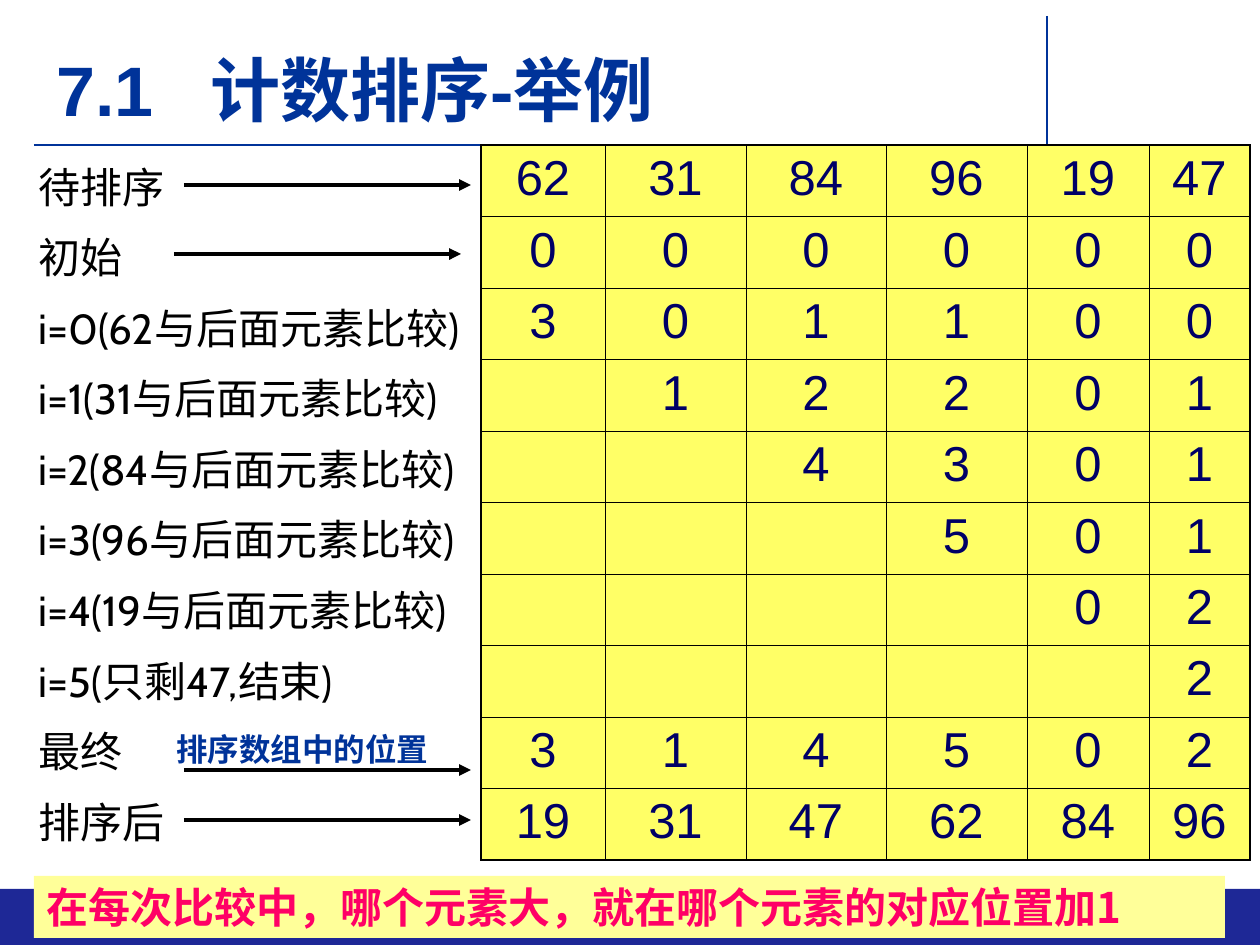
import pptx
import pptx.util
import pptx.dml.color
import pptx.enum.shapes
import pptx.enum.text
import pptx.oxml.ns
import lxml.etree

SCALE = 914400 / 126
HUE = {
    "blue": "003399",
    "navy": "1E2896",
    "ink": "000066",
    "black": "000000",
    "cell": "FFFF66",
    "pale": "FFFF99",
    "pink": "FF0066",
}
COLS = [124, 141, 140, 141, 122, 101]
ROWS = [
    [62, 31, 84, 96, 19, 47],
    [0, 0, 0, 0, 0, 0],
    [3, 0, 1, 1, 0, 0],
    [1, 2, 2, 0, 1],
    [4, 3, 0, 1],
    [5, 0, 1],
    [0, 2],
    [2],
    [3, 1, 4, 5, 0, 2],
    [19, 31, 47, 62, 84, 96],
]
STEPS = [
    "待排序",
    "初始",
    *(f"i={i}({n}与后面元素比较)" for i, n in enumerate(ROWS[0][:-1])),
    "i=5(只剩47,结束)",
    "最终",
    "排序后",
]


def px(n):
    return pptx.util.Emu(round(n * SCALE))


def tint(name):
    return pptx.dml.color.RGBColor.from_string(HUE[name])


def node(up, tag, **attrs):
    return lxml.etree.SubElement(up, pptx.oxml.ns.qn(tag), **attrs)


def write(frame, text, size=24, face="Arial", hue="black", bold=False,
          align="LEFT", space=None, tab=None, top=None):
    frame.word_wrap = True
    if top is not None:
        frame.margin_top = px(top)
    for i, line in enumerate(text.split("\n")):
        para = frame.add_paragraph() if i else frame.paragraphs[0]
        para.alignment = getattr(pptx.enum.text.PP_ALIGN, align)
        if space:
            para.line_spacing = space
        if tab:
            stops = node(para._p.get_or_add_pPr(), "a:tabLst")
            node(stops, "a:tab", pos=str(px(tab)), algn="l")
        run = para.add_run()
        run.text = line
        run.font.size = pptx.util.Pt(size)
        run.font.name = face
        run.font.bold = bold
        run.font.color.rgb = tint(hue)
        node(run._r.get_or_add_rPr(), "a:ea", typeface=face)


def label(slide, box, text, **style):
    area = slide.shapes.add_textbox(*map(px, box))
    write(area.text_frame, text, **style)


def block(slide, box, hue):
    kind = pptx.enum.shapes.MSO_SHAPE.RECTANGLE
    shape = slide.shapes.add_shape(kind, *map(px, box))
    shape.shadow.inherit = False
    shape.fill.solid()
    shape.fill.fore_color.rgb = tint(hue)
    shape.line.fill.background()
    return shape


def rule(slide, x, y, dx, dy, hue, width, head=False):
    kind = pptx.enum.shapes.MSO_CONNECTOR.STRAIGHT
    line = slide.shapes.add_connector(kind, px(x), px(y), px(x + dx), px(y + dy))
    line.line.color.rgb = tint(hue)
    line.line.width = pptx.util.Pt(width)
    if head:
        node(line.line._get_or_add_ln(), "a:tailEnd", type="triangle")
    node(line._element.spPr, "a:effectLst")


def frame(slide, x, y, w, h):
    block(slide, (x, y + 889, w, h - 889), "navy")
    rule(slide, x + 34, y + 145, 1211, 0, "blue", 1.5)
    rule(slide, x + 1047, y + 16, 0, 149, "blue", 1.5)


def title(slide, x, y, w, h):
    label(slide, (x, y, w, h), "7.1\t计数排序-举例", size=40, hue="blue",
          bold=True, tab=154, top=13)


def border(cell, edges):
    props = cell._tc.get_or_add_tcPr()
    for i, (side, outer) in enumerate(edges.items()):
        width = pptx.util.Pt(1.08 if outer else 0.45)
        line = lxml.etree.Element(pptx.oxml.ns.qn(f"a:ln{side}"), w=str(width))
        fill = node(line, "a:solidFill")
        node(fill, "a:srgbClr", val=HUE["black"])
        props.insert(i, line)


def grid(slide, x, y, w, h):
    rows, cols = len(ROWS), len(COLS)
    table = slide.shapes.add_table(rows, cols, px(x), px(y), px(w), px(h)).table
    for col, width in zip(table.columns, COLS):
        col.width = px(width)
    for r, nums in enumerate(ROWS):
        table.rows[r].height = px(h / rows)
        skip = cols - len(nums)
        for c in range(cols):
            cell = table.cell(r, c)
            cell.fill.solid()
            cell.fill.fore_color.rgb = tint("cell")
            border(cell, {"L": c == 0, "R": c == cols - 1,
                          "T": r == 0, "B": r == rows - 1})
            if c >= skip:
                write(cell.text_frame, str(nums[c - skip]), size=28,
                      hue="ink", align="CENTER")


def steps(slide, x, y, w, h):
    label(slide, (x, y, w, h), "\n".join(STEPS), face="Cabin", space=1.4)
    for dx, dy in [(158, 50), (148, 119), (158, 635), (158, 685)]:
        rule(slide, x + dx, y + dy, 287, 0, "black", 2.25, head=True)
    label(slide, (x + 138, y + 586, 312, 62), "排序数组中的位置",
          size=18, hue="blue", bold=True, top=9)


def banner(slide, x, y, w, h):
    shape = block(slide, (x, y, w, h), "pale")
    write(shape.text_frame, "在每次比较中，哪个元素大，就在哪个元素的对应位置加1",
          face="Noto Sans CJK SC", hue="pink", bold=True)


def main():
    deck = pptx.Presentation()
    deck.slide_width, deck.slide_height = px(1260), px(945)
    slide = deck.slides.add_slide(deck.slide_layouts[6])
    frame(slide, 0, 0, 1260, 945)
    title(slide, 44, 34, 982, 62)
    grid(slide, 481, 145, sum(COLS), 715)
    steps(slide, 26, 135, 476, 718)
    banner(slide, 34, 876, 1191, 62)
    deck.save("out.pptx")


if __name__ == "__main__":
    main()
